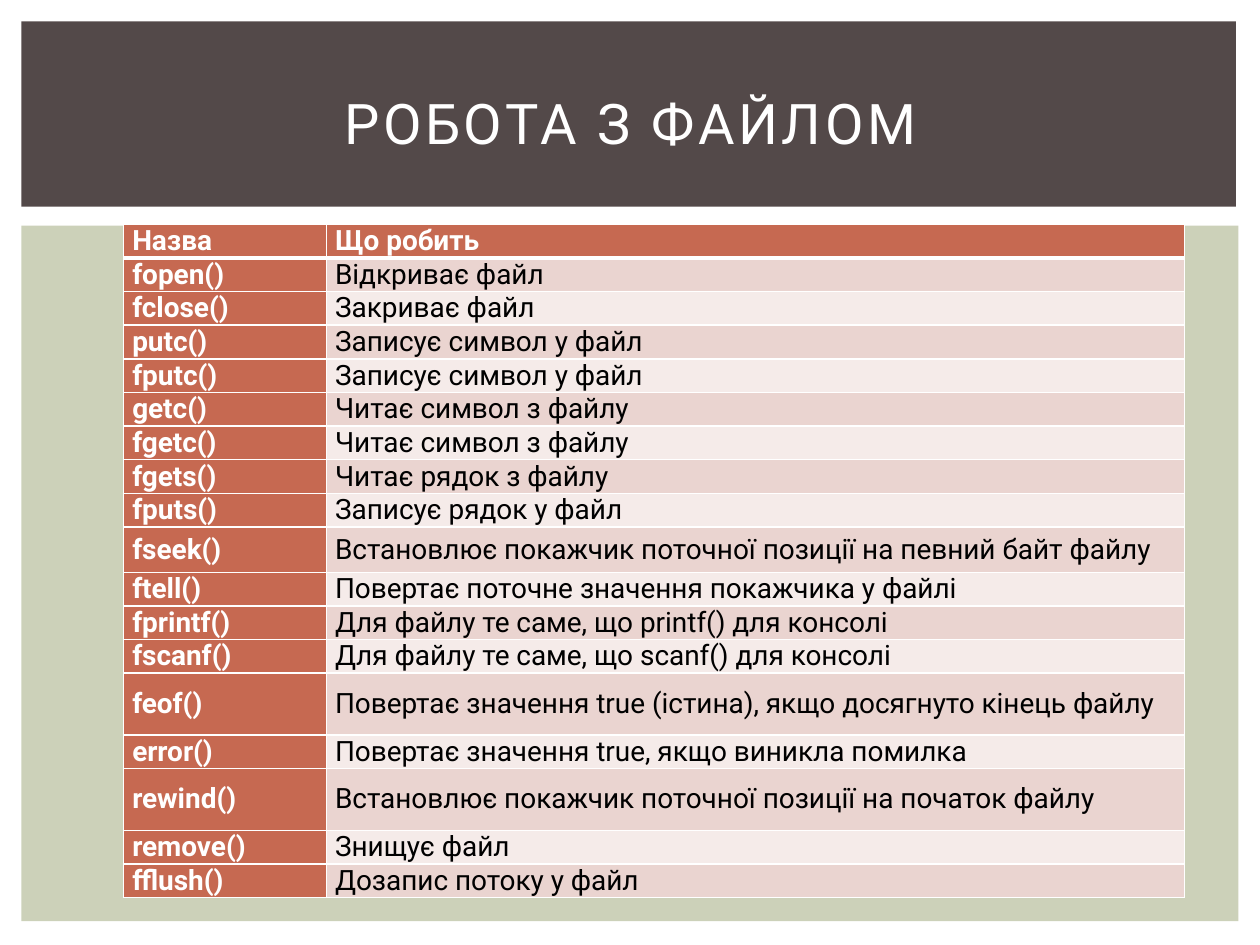
"""Build a slide with a table of file-handling functions."""
import pptx
import pptx.dml.color
import pptx.enum.shapes
import pptx.enum.text
import pptx.oxml
import pptx.oxml.ns
import pptx.util

COLORS = {
    "white": "FFFFFF", "black": "000000", "banner": "534949", "panel": "CCD1B9",
    "accent": "C66951", "odd": "EAD4D0", "even": "F5EBE9",
}
FONT = "Roboto"
TITLE = "РОБОТА З ФАЙЛОМ"
ROWS = [
    ("Назва", "Що робить"),
    ("fopen()", "Відкриває файл"),
    ("fclose()", "Закриває файл"),
    ("putc()", "Записує символ у файл"),
    ("fputc()", "Записує символ у файл"),
    ("getc()", "Читає символ з файлу"),
    ("fgetc()", "Читає символ з файлу"),
    ("fgets()", "Читає рядок з файлу"),
    ("fputs()", "Записує рядок у файл"),
    ("fseek()", "Встановлює покажчик поточної позиції на певний байт файлу"),
    ("ftell()", "Повертає поточне значення покажчика у файлі"),
    ("fprintf()", "Для файлу те саме, що printf() для консолі"),
    ("fscanf()", "Для файлу те саме, що scanf() для консолі"),
    ("feof()", "Повертає значення true (істина), якщо досягнуто кінець файлу"),
    ("error()", "Повертає значення true, якщо виникла помилка"),
    ("rewind()", "Встановлює покажчик поточної позиції на початок файлу"),
    ("remove()", "Знищує файл"),
    ("fflush()", "Дозапис потоку у файл"),
]
COLUMN_WIDTHS = (1.61, 6.81)
ROW_HEIGHT = 0.24
TALL_ROWS = {"fseek()": 0.36, "feof()": 0.49, "rewind()": 0.49}
PANELS = [("panel", (0.17, 1.79, 9.66, 5.52)), ("banner", (0.17, 0.17, 9.64, 1.47))]
TITLE_BOX = (0.42, 0.39, 9.17, 1.15)
MIDDLE = pptx.enum.text.MSO_ANCHOR.MIDDLE
CELL_FORMAT = {
    "vertical_anchor": MIDDLE,
    "margin_left": pptx.util.Inches(0.07), "margin_right": pptx.util.Inches(0.07),
    "margin_top": 0, "margin_bottom": 0,
}


def inches(values):
    return [pptx.util.Inches(value) for value in values]


def color(name):
    return pptx.dml.color.RGBColor.from_string(COLORS[name])


def paint(fill, name):
    fill.solid()
    fill.fore_color.rgb = color(name)


def write(paragraph, text, size, color_name, bold=False):
    run = paragraph.add_run()
    run.text = text
    values = {"name": FONT, "size": pptx.util.Pt(size), "bold": bold}
    for attribute, value in values.items():
        setattr(run.font, attribute, value)
    run.font.color.rgb = color(color_name)
    return run


def draw_borders(cell, widths):
    properties = cell._tc.get_or_add_tcPr()
    for index, (side, width) in enumerate(widths.items()):
        border = pptx.oxml.parse_xml(
            f'<a:ln{side} {pptx.oxml.ns.nsdecls("a")} w="{pptx.util.Pt(width)}">'
            f'<a:solidFill><a:srgbClr val="{COLORS["white"]}"/></a:solidFill></a:ln{side}>'
        )
        properties.insert(index, border)


def add_panel(slide, color_name, box):
    shape = slide.shapes.add_shape(
        pptx.enum.shapes.MSO_SHAPE.RECTANGLE, *inches(box))
    shape.shadow.inherit = False
    paint(shape.fill, color_name)
    shape.line.fill.background()


def add_title(slide):
    frame = slide.shapes.add_textbox(*inches(TITLE_BOX)).text_frame
    frame.word_wrap = True
    frame.vertical_anchor = MIDDLE
    paragraph = frame.paragraphs[0]
    paragraph.alignment = pptx.enum.text.PP_ALIGN.CENTER
    run = write(paragraph, TITLE, 32, "white")
    run.font._element.set("spc", "200")


def add_function_table(slide):
    heights = [TALL_ROWS.get(name, ROW_HEIGHT) for name, _ in ROWS]
    box = (0.98, 1.78, sum(COLUMN_WIDTHS), sum(heights))
    table = slide.shapes.add_table(
        len(ROWS), len(COLUMN_WIDTHS), *inches(box)).table
    for column, width in zip(table.columns, inches(COLUMN_WIDTHS)):
        column.width = width
    for row, height in zip(table.rows, inches(heights)):
        row.height = height
    for row_index, texts in enumerate(ROWS):
        band = "odd" if row_index % 2 else "even"
        borders = {"L": 1, "R": 1, "T": 3 if row_index == 1 else 1,
                   "B": 3 if row_index == 0 else 1}
        for column_index, text in enumerate(texts):
            cell = table.cell(row_index, column_index)
            heading = row_index == 0 or column_index == 0
            for attribute, value in CELL_FORMAT.items():
                setattr(cell, attribute, value)
            paint(cell.fill, "accent" if heading else band)
            draw_borders(cell, borders)
            write(cell.text_frame.paragraphs[0], text, 16,
                  "white" if heading else "black", heading)


presentation = pptx.Presentation()
presentation.slide_width, presentation.slide_height = inches((10, 7.5))
slide = presentation.slides.add_slide(presentation.slide_layouts[6])
for panel in PANELS:
    add_panel(slide, *panel)
add_title(slide)
add_function_table(slide)
presentation.save("out.pptx")
